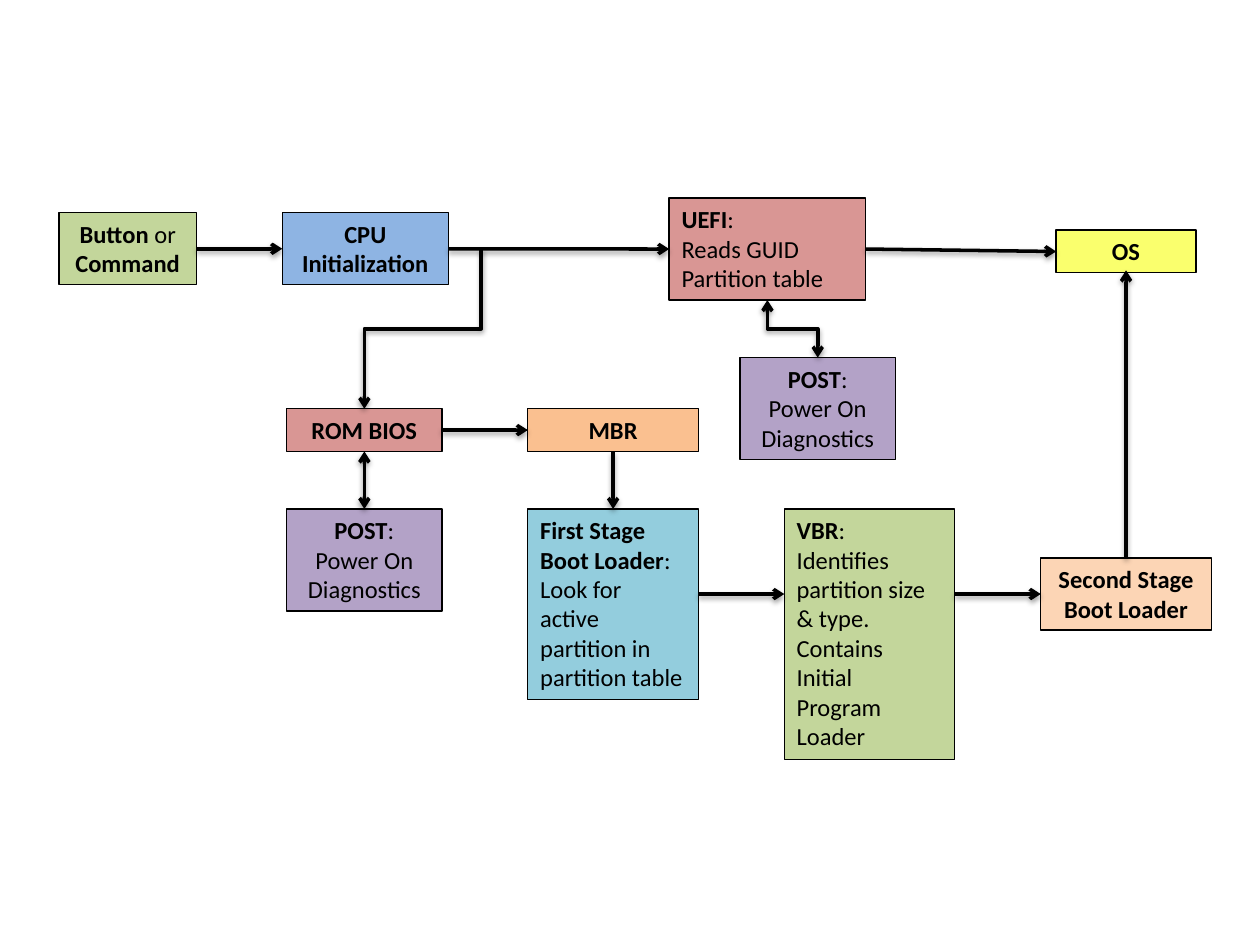
from lxml import etree
from pptx import Presentation
from pptx import util as u
from pptx.dml.color import RGBColor
from pptx.enum import shapes, text
from pptx.oxml import ns

BLACK = RGBColor(0x00, 0x00, 0x00)
GREEN = RGBColor(0xC3, 0xD6, 0x9B)
BLUE = RGBColor(0x8E, 0xB4, 0xE3)
RED = RGBColor(0xD9, 0x96, 0x94)
PURPLE = RGBColor(0xB3, 0xA2, 0xC7)
ORANGE = RGBColor(0xFA, 0xC0, 0x90)
YELLOW = RGBColor(0xFA, 0xFF, 0x6D)
AQUA = RGBColor(0x93, 0xCD, 0xDD)
PEACH = RGBColor(0xFC, 0xD5, 0xB5)

LEFT, CENTER = text.PP_ALIGN.LEFT, text.PP_ALIGN.CENTER
STRAIGHT, ELBOW = shapes.MSO_CONNECTOR.STRAIGHT, shapes.MSO_CONNECTOR.ELBOW

# One-line, two-line and three-line box heights in centimetres
ONE, TWO, THREE = 0.86, 1.45, 2.06
POST = [[("POST", True), (":", False)], [("Power On Diagnostics", False)]]

# name: (left, top, width, height in centimetres, fill, alignment, paragraphs)
STEPS = {
    "button": (1.19, 4.29, 2.77, TWO, GREEN, CENTER,
               [[("Button ", True), ("or ", False), ("Command", True)]]),
    "cpu": (5.69, 4.29, 3.35, TWO, BLUE, CENTER, [[("CPU Initialization", True)]]),
    "bios": (5.78, 8.24, 3.13, ONE, RED, CENTER, [[("ROM BIOS", True)]]),
    "bios post": (5.78, 10.26, 3.13, THREE, PURPLE, CENTER, POST),
    "mbr": (10.64, 8.24, 3.44, ONE, ORANGE, CENTER, [[("MBR", True)]]),
    "os": (21.29, 4.64, 2.82, ONE, YELLOW, CENTER, [[("OS", True)]]),
    "first stage": (10.64, 10.26, 3.44, 3.84, AQUA, LEFT,
                    [[("First Stage Boot Loader", True),
                      (": Look for active partition in partition table", False)]]),
    "vbr": (15.81, 10.26, 3.44, 5.05, GREEN, LEFT,
            [[("VBR", True), (":", False)],
             [("Identifies partition size & type. Contains Initial Program Loader",
               False)]]),
    "second stage": (20.98, 11.25, 3.44, TWO, PEACH, CENTER,
                     [[("Second Stage Boot Loader", True)]]),
    "uefi": (13.49, 3.99, 3.96, THREE, RED, LEFT,
             [[("UEFI", True), (":", False)],
              [("Reads GUID Partition table", False)]]),
    "uefi post": (14.92, 7.21, 3.13, THREE, PURPLE, CENTER, POST),
}


def add_span(para, words, *, bold=False, size=14, color=BLACK, font="Calibri"):
    """Add one formatted run of text to a paragraph."""
    span = para.add_run()
    span.text = words
    span.font.name = font
    span.font.size = u.Pt(size)
    span.font.bold = bold
    span.font.color.rgb = color


def add_step(page, left, top, width, height, fill, align, paras):
    """Draw one filled box of the flow with its text."""
    box = page.shapes.add_shape(shapes.MSO_SHAPE.RECTANGLE, u.Cm(left), u.Cm(top),
                                u.Cm(width), u.Cm(height))
    box.shadow.inherit = False
    box.fill.solid()
    box.fill.fore_color.rgb = fill
    box.line.color.rgb = BLACK
    box.line.width = u.Pt(0.75)
    frame = box.text_frame
    frame.word_wrap = True
    frame.auto_size = text.MSO_AUTO_SIZE.SHAPE_TO_FIT_TEXT
    frame.vertical_anchor = text.MSO_ANCHOR.TOP
    for number, spans in enumerate(paras):
        para = frame.add_paragraph() if number else frame.paragraphs[0]
        para.alignment = align
        for words, bold in spans:
            add_span(para, words, bold=bold)
    return box


def add_arrow(page, begin, end, *, kind=STRAIGHT, both=False):
    """Draw a black arrow with a soft shadow between two points."""
    arrow = page.shapes.add_connector(kind, *map(int, begin + end))
    arrow.line.color.rgb = BLACK
    arrow.line.width = u.Pt(2)
    outline = arrow.line._get_or_add_ln()
    for tag in ("a:headEnd", "a:tailEnd") if both else ("a:tailEnd",):
        etree.SubElement(outline, ns.qn(tag), type="arrow")
    effects = etree.SubElement(arrow._element.spPr, ns.qn("a:effectLst"))
    shadow = etree.SubElement(effects, ns.qn("a:outerShdw"), blurRad=str(u.Pt(3.1)),
                              dist=str(u.Pt(1.6)), dir="5400000", rotWithShape="0")
    color = etree.SubElement(shadow, ns.qn("a:srgbClr"), val=str(BLACK))
    etree.SubElement(color, ns.qn("a:alpha"), val="38000")
    return arrow


def add_elbow(page, begin, end, *, both=False):
    """Draw an arrow that runs down, sideways and down again."""
    (x1, y1), (x2, y2) = begin, end
    middle_x, middle_y = (x1 + x2) / 2, (y1 + y2) / 2
    half_run, half_shift = (y2 - y1) / 2, (x2 - x1) / 2
    # A quarter turn maps the run to the height and the shift to the width.
    arrow = add_arrow(page, (middle_x - half_run, middle_y + half_shift),
                      (middle_x + half_run, middle_y - half_shift),
                      kind=ELBOW, both=both)
    arrow._element.spPr.find(ns.qn("a:xfrm")).set("rot", "5400000")


def center(box):
    """Return the middle point of a box."""
    return box.left + box.width / 2, box.top + box.height / 2


def add_across(page, first, last, level=None):
    """Join two boxes left to right, at the height of a level box if given."""
    add_arrow(page, (first.left + first.width, center(level or first)[1]),
              (last.left, center(level or last)[1]))


def add_down(page, upper, lower, *, both=False):
    """Join the bottom of one box to the top of another."""
    begin = center(upper)[0], upper.top + upper.height
    end = center(lower)[0], lower.top
    join = add_arrow if abs(begin[0] - end[0]) < u.Cm(0.1) else add_elbow
    join(page, begin, end, both=both)


def add_flow(page):
    """Build the boot flow: all boxes, then the arrows between them."""
    boxes = {name: add_step(page, *step) for name, step in STEPS.items()}
    loader = boxes["second stage"]
    for first, last, level in (("button", "cpu", None), ("cpu", "uefi", None),
                               ("uefi", "os", None), ("bios", "mbr", None),
                               ("first stage", "vbr", loader),
                               ("vbr", "second stage", loader)):
        add_across(page, boxes[first], boxes[last], level)
    for upper, lower, both in (("bios", "bios post", True),
                               ("mbr", "first stage", False),
                               ("uefi", "uefi post", True)):
        add_down(page, boxes[upper], boxes[lower], both=both)
    system = boxes["os"]
    add_arrow(page, (center(loader)[0], loader.top),
              (center(system)[0], system.top + system.height - u.Cm(0.05)))
    bios = boxes["bios"]
    add_elbow(page, (u.Cm(9.7), center(boxes["cpu"])[1]), (center(bios)[0], bios.top))


deck = Presentation()
deck.slide_width, deck.slide_height = u.Cm(25.4), u.Cm(19.05)
add_flow(deck.slides.add_slide(deck.slide_layouts[6]))
deck.save("out.pptx")
